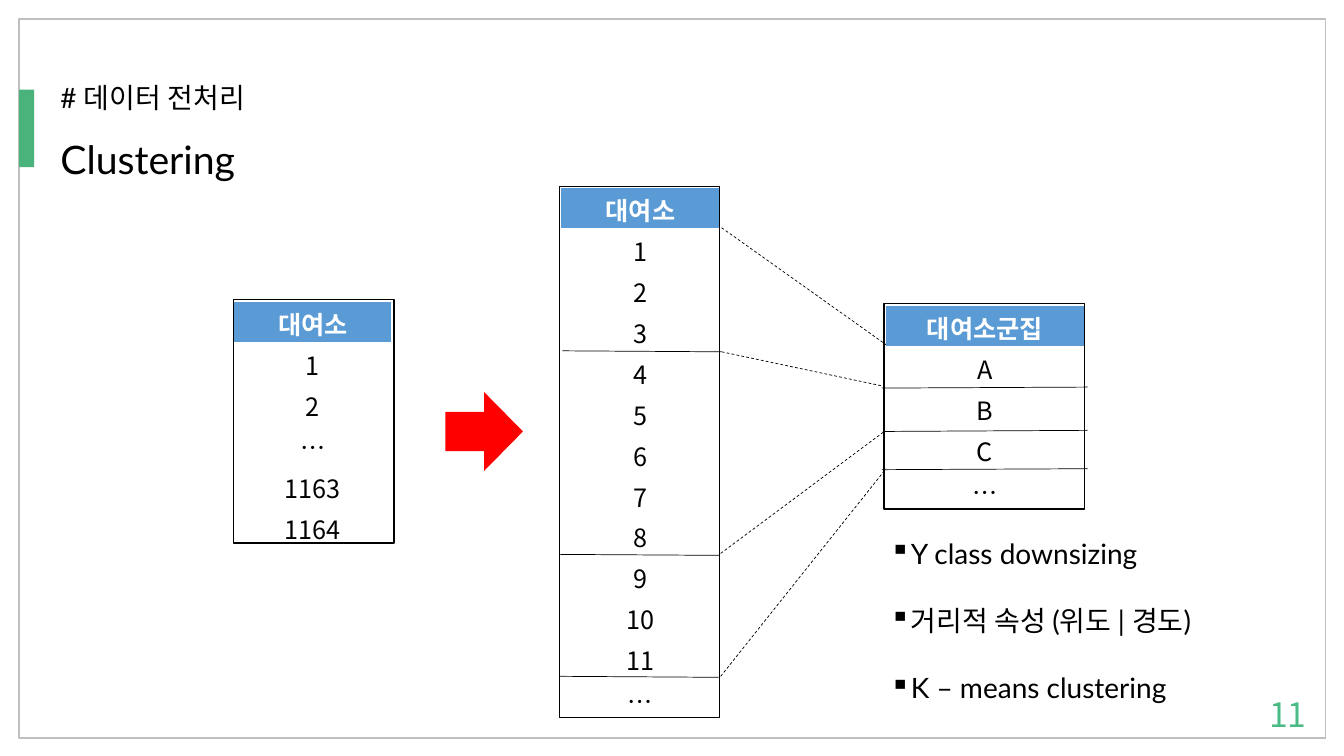
from lxml import etree
from pptx import Presentation
from pptx.dml.color import RGBColor
from pptx.enum.dml import MSO_LINE
from pptx.enum.shapes import MSO_CONNECTOR, MSO_SHAPE
from pptx.enum.text import MSO_ANCHOR, MSO_AUTO_SIZE, PP_ALIGN
from pptx.oxml.ns import qn
from pptx.util import Pt

LEFT, CENTER, RIGHT = PP_ALIGN.LEFT, PP_ALIGN.CENTER, PP_ALIGN.RIGHT
TOP, MIDDLE = MSO_ANCHOR.TOP, MSO_ANCHOR.MIDDLE
RECT, ARROW = MSO_SHAPE.RECTANGLE, MSO_SHAPE.RIGHT_ARROW
STRAIGHT, DASH = MSO_CONNECTOR.STRAIGHT, MSO_LINE.DASH
NO_FIT = MSO_AUTO_SIZE.NONE

LATIN, KOREAN = "Lato", "Noto Sans CJK KR"
BLACK, WHITE, BLUE, RED = "000000", "FFFFFF", "5B9BD5", "FF0000"
GREY, GREEN, NUMBER_GREEN = "BFBFBF", "49B37B", "4BBB85"
ROW = 29.2

# Station tables: left, top, width, rows
STATION_TABLES = [
    (167, 215.3, 113, ["대여소", "1", "2", "…", "1163", "1164"]),
    (400.3, 133.9, 114.5, ["대여소", *map(str, range(1, 12)), "…"]),
]
CLUSTER_TABLE = (632.2, 218.2, 142.6, ["대여소군집", "A", "B", "C", "…"])

# Lines: x1, y1, x2, y2
GROUP_LINKS = [
    (515.5, 162.7, 632.9, 246.2),
    (515.5, 251.3, 630.7, 275.8),
    (514.8, 395.3, 630.7, 308.9),
    (514.8, 483.1, 632.9, 334.8),
]
ROW_RULES = [
    (630, 335.5, 776.9, 334.8),
    (630.7, 308.2, 776.9, 307.4),
    (630, 277.2, 776.9, 276.5),
    (401.8, 250.6, 515.5, 251.3),
    (400.3, 396, 514.1, 396.7),
    (399.6, 483.1, 513.4, 483.8),
]
BULLETS = ["Y class downsizing", "거리적 속성 (위도 | 경도)", "K – means clustering"]


def rgb(value):
    return RGBColor.from_string(value)


def write(p, text, size, font=LATIN, color=BLACK, bold=False, align=LEFT):
    p.alignment = align
    r = p.add_run()
    r.text = text
    for name, value in {"size": Pt(size), "name": font, "bold": bold}.items():
        setattr(r.font, name, value)
    r.font.color.rgb = rgb(color)
    east_asian = etree.SubElement(r.font._element, qn("a:ea"))
    east_asian.set("typeface", KOREAN)


def set_frame(tf, anchor=TOP):
    settings = {"word_wrap": True, "auto_size": NO_FIT, "vertical_anchor": anchor}
    for name, value in settings.items():
        setattr(tf, name, value)
    return tf


def add_text_box(s, box, anchor=TOP):
    return set_frame(s.shapes.add_textbox(*map(Pt, box)).text_frame, anchor)


def add_block(s, kind, box, fill=None, line=None):
    sp = s.shapes.add_shape(kind, *map(Pt, box))
    sp.shadow.inherit = False
    if fill:
        sp.fill.solid()
        sp.fill.fore_color.rgb = rgb(fill)
    else:
        sp.fill.background()
    if line:
        sp.line.color.rgb = rgb(line)
        sp.line.width = Pt(1)
    else:
        sp.line.fill.background()


def add_line(s, ends, dash=None):
    line = s.shapes.add_connector(STRAIGHT, *map(Pt, ends))
    line.line.color.rgb = rgb(BLACK)
    line.line.width = Pt(0.5)
    if dash:
        line.line.dash_style = dash
    etree.SubElement(line._element.spPr, qn("a:effectLst"))


def add_station_table(s, left, top, width, rows):
    box = (left, top, width, ROW * len(rows))
    table = s.shapes.add_table(len(rows), 1, *map(Pt, box)).table
    table.horz_banding = False
    for i, text in enumerate(rows):
        header = i == 0
        table.rows[i].height = Pt(ROW)
        cell = table.cell(i, 0)
        cell.margin_top, cell.margin_bottom = Pt(3), Pt(0)
        if header:
            cell.fill.solid()
            cell.fill.fore_color.rgb = rgb(BLUE)
        else:
            cell.fill.background()
        write(cell.text_frame.paragraphs[0], text, 18, KOREAN,
              WHITE if header else BLACK, header, CENTER)


def add_bullets(s, box, items):
    tf = add_text_box(s, box)
    for i, text in enumerate(items):
        p = tf.add_paragraph() if i else tf.paragraphs[0]
        if i:
            p.space_before = Pt(24)
        pPr = p._p.get_or_add_pPr()
        pPr.set("marL", str(Pt(12)))
        pPr.set("indent", str(-Pt(12)))
        etree.SubElement(pPr, qn("a:buChar")).set("char", "▪")
        write(p, text, 20)


def main():
    prs = Presentation()
    prs.slide_width, prs.slide_height = Pt(960), Pt(540)
    s = prs.slides.add_slide(prs.slide_layouts[5])

    # Page frame and accent bar
    add_block(s, RECT, (13.7, 13.7, 933, 513.4), line=GREY)
    add_block(s, RECT, (13.7, 64, 10.8, 55.4), fill=GREEN)

    # Section label and title
    label = add_text_box(s, (36, 54, 650, 31.7))
    write(label.paragraphs[0], "# 데이터 전처리", 20)
    title = s.shapes.title
    place = {"left": 36, "top": 92.9, "width": 805, "height": 41}
    for name, value in place.items():
        setattr(title, name, Pt(value))
    write(set_frame(title.text_frame).paragraphs[0], "Clustering", 28)

    # Stations before and after sorting
    for table in STATION_TABLES:
        add_station_table(s, *table)
    add_block(s, ARROW, (318.2, 280.1, 55.4, 56.2), fill=RED)
    add_block(s, RECT, (167, 213.8, 114.5, 174.2), line=BLACK)
    add_block(s, RECT, (399.6, 133.2, 114.5, 379.4), line=BLACK)

    # Clusters and their links
    add_station_table(s, *CLUSTER_TABLE)
    for ends in GROUP_LINKS:
        add_line(s, ends, DASH)
    add_block(s, RECT, (631.4, 216.7, 143.3, 146.9), line=BLACK)
    for ends in ROW_RULES:
        add_line(s, ends)

    # Notes on the method and page number
    add_bullets(s, (628.6, 379.4, 266.4, 128), BULLETS)
    number = add_text_box(s, (724.3, 495.4, 216, 28.8), MIDDLE)
    write(number.paragraphs[0], "11", 24, KOREAN, NUMBER_GREEN, align=RIGHT)

    prs.save("out.pptx")


if __name__ == "__main__":
    main()
